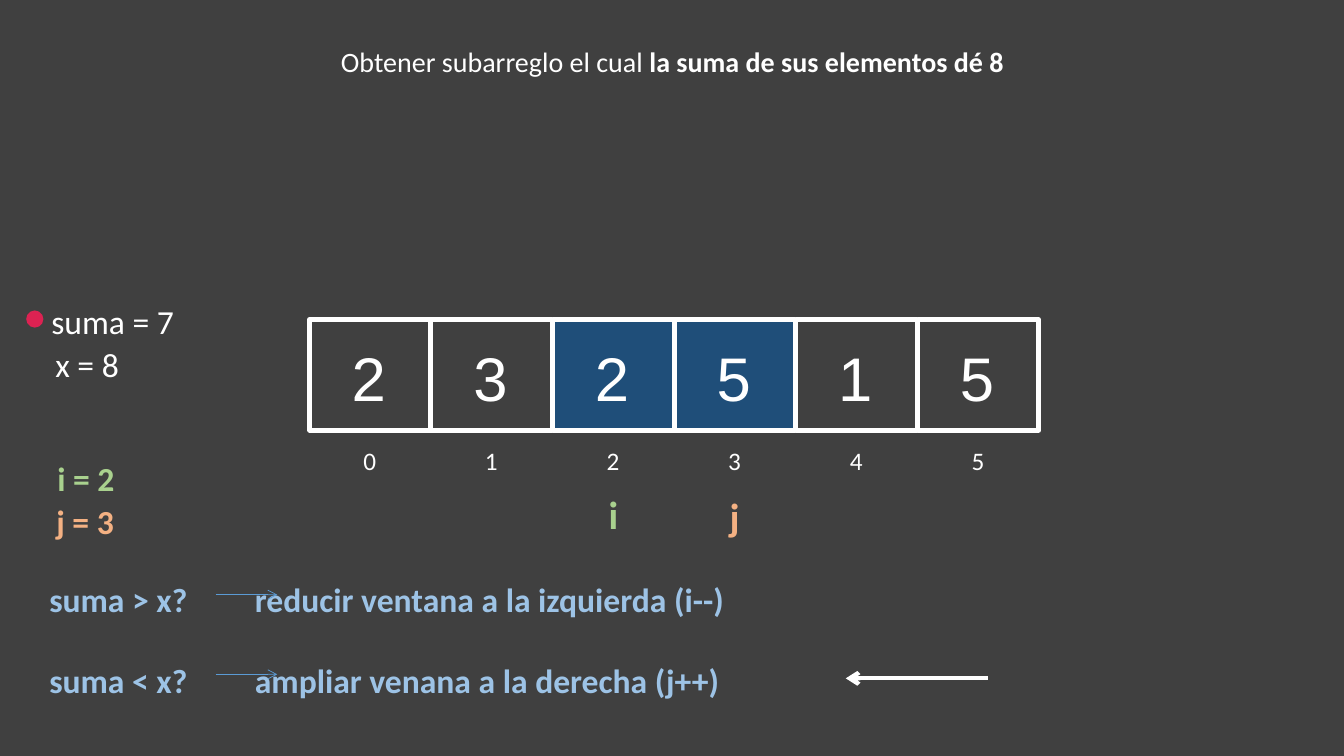
import lxml.etree
import pptx
import pptx.dml.color
import pptx.enum.shapes
import pptx.enum.text
import pptx.oxml.ns
import pptx.util

WHITE, GREEN, ORANGE = "FFFFFF", "A9D18E", "F4B183"
NAVY, SKY, BLUE, RED = "1F4E79", "9DC3E6", "5B9BD5", "DC2252"

deck = pptx.Presentation()
deck.slide_width = pptx.util.Inches(13.33)
deck.slide_height = pptx.util.Inches(7.5)
column = deck.slide_width / 100
row = deck.slide_height / 100
page = deck.slides.add_slide(deck.slide_layouts[6])


def paint(fill, color):
    fill.solid()
    fill.fore_color.rgb = pptx.dml.color.RGBColor.from_string(color)


def write(left, top, width, height, lines, size, color=WHITE, bold=False, name="Calibri"):
    box = page.shapes.add_textbox(
        int(left * column), int(top * row), int(width * column), int(height * row)
    )
    frame = box.text_frame
    frame.word_wrap = True
    frame.auto_size = pptx.enum.text.MSO_AUTO_SIZE.SHAPE_TO_FIT_TEXT
    for number, line in enumerate(lines):
        para = frame.add_paragraph() if number else frame.paragraphs[0]
        span = para.add_run()
        span.text = line
        values = {"size": pptx.util.Pt(size), "bold": bold, "name": name}
        for key, value in values.items():
            setattr(span.font, key, value)
        paint(span.font.fill, color)
    return frame


paint(page.background.fill, "404040")

cell_pitch = 9.05
numbers = [2, 3, 2, 5, 1, 5]
window = range(2, 4)

for index, number in enumerate(numbers):
    shift = index * cell_pitch
    cell = page.shapes.add_shape(
        pptx.enum.shapes.MSO_SHAPE.RECTANGLE,
        int((23.03 + shift) * column), int(42.27 * row), int(9 * column), int(14.67 * row),
    )
    cell.shadow.inherit = False
    cell.line.width = pptx.util.Pt(3)
    paint(cell.line.fill, WHITE)
    if index in window:
        paint(cell.fill, NAVY)
    else:
        cell.fill.background()
    write(25.43 + shift, 44.27, 5.03, 11.2, [str(number)], 44, name="Arial")
    write(26.3 + shift, 58.27, 3, 5.33, [str(index)], 18)

title = write(11.33, 5.2, 77.4, 5.87, ["Obtener subarreglo el cual "], 20).paragraphs[0]
title.alignment = pptx.enum.text.PP_ALIGN.CENTER
goal = title.add_run()
goal.text = "la suma de sus elementos dé 8"
for key, value in {"size": pptx.util.Pt(20), "bold": True, "name": "Calibri"}.items():
    setattr(goal.font, key, value)
paint(goal.font.fill, WHITE)

for left, top, width, label, size, color, bold in [
    (3.08, 39.2, 11.7, "suma = 7", 24, WHITE, False),
    (3.38, 44.8, 6.75, "x = 8", 24, WHITE, False),
    (3.53, 59.87, 6.15, "i = 2", 24, GREEN, True),
    (3.45, 65.6, 6.3, "j = 3", 24, ORANGE, True),
    (44.55, 64.27, 2.03, "i", 28, GREEN, True),
    (53.55, 64.53, 2.25, "j", 28, ORANGE, True),
]:
    write(left, top, width, size * 0.28, [label], size, color, bold)

rules = write(
    2.93, 75.87, 59.03, 17.47,
    [
        "suma > x?\treducir ventana a la izquierda (i--)",
        "suma < x?\tampliar venana a la derecha (j++)",
    ],
    24, SKY, True,
)
rules.paragraphs[1].space_before = pptx.util.Pt(29)
for para in rules.paragraphs:
    properties = para._p.get_or_add_pPr()
    stops = lxml.etree.SubElement(properties, pptx.oxml.ns.qn("a:tabLst"))
    stop = lxml.etree.SubElement(stops, pptx.oxml.ns.qn("a:tab"))
    stop.set("pos", str(int(15.3 * column)))
    stop.set("algn", "l")

for start, end, height, color, weight in [
    (16.05, 20.63, 78.67, BLUE, 0.5),
    (16.05, 20.63, 89.2, BLUE, 0.5),
    (73.5, 62.93, 89.73, WHITE, 3),
]:
    arrow = page.shapes.add_connector(
        pptx.enum.shapes.MSO_CONNECTOR.STRAIGHT,
        int(start * column), int(height * row), int(end * column), int(height * row),
    )
    arrow.line.width = pptx.util.Pt(weight)
    paint(arrow.line.fill, color)
    outline = arrow.line._get_or_add_ln()
    lxml.etree.SubElement(outline, pptx.oxml.ns.qn("a:tailEnd")).set("type", "arrow")
    lxml.etree.SubElement(arrow._element.spPr, pptx.oxml.ns.qn("a:effectLst"))

dot = page.shapes.add_shape(
    pptx.enum.shapes.MSO_SHAPE.OVAL,
    int(1.95 * column), int(41.07 * row), int(1.28 * column), int(2.27 * row),
)
dot.shadow.inherit = False
paint(dot.fill, RED)
dot.line.fill.background()

deck.save("out.pptx")
